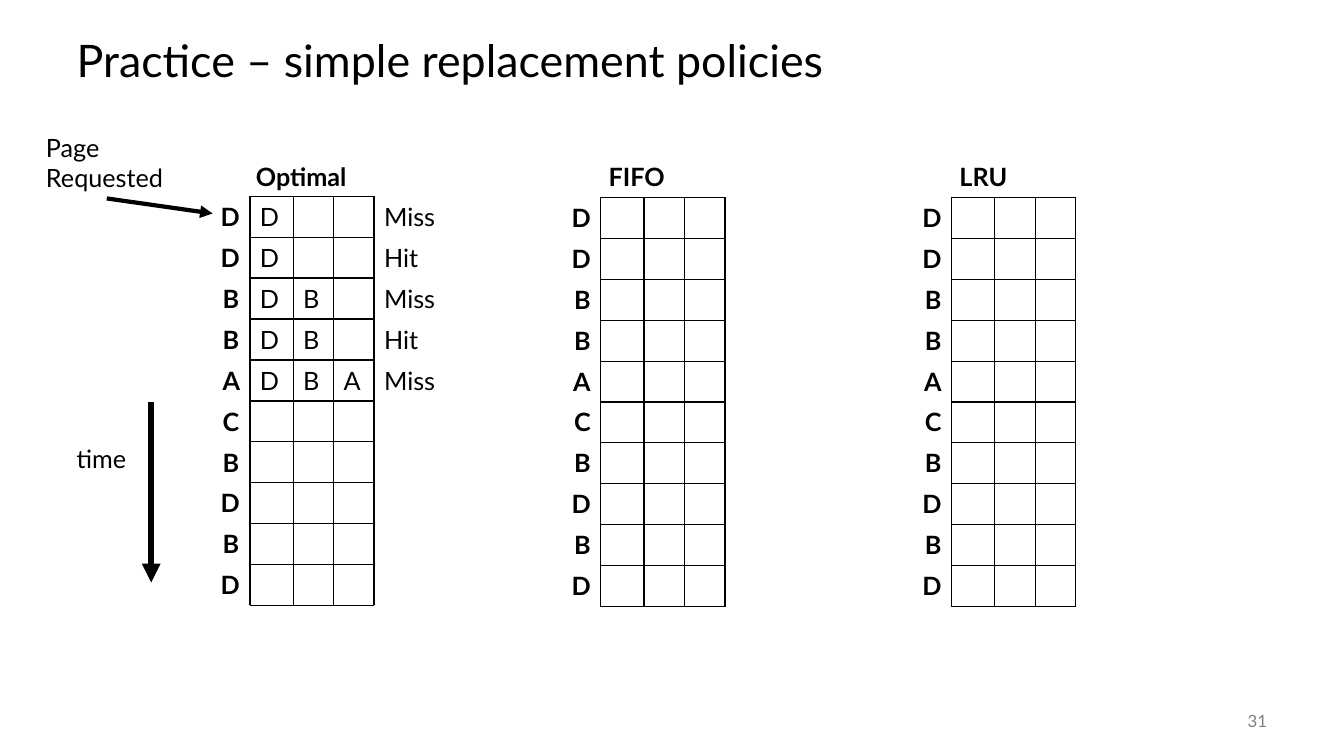
from itertools import accumulate

from lxml import etree
from pptx import Presentation
from pptx import util as u
from pptx.dml.color import RGBColor
from pptx.enum import shapes, text
from pptx.oxml import ns

COLORS = {"ink": "000000", "muted": "808080"}
REQUESTS = "DDBBACBDBD"
OPTIMAL = [("D", "Miss"), ("D", "Hit"), ("DB", "Miss"), ("DB", "Hit"), ("DBA", "Miss")]
FRAME_WIDTHS = [1.09, 1.02, 1.02]
ROW = 1.03


class PracticeSlide:
    """Holds the style and the current slide; all lengths are in centimetres."""

    font = "Lato"

    def __init__(self, slide):
        self.slide = slide

    def style(self, paragraph, size=18, bold=False, color="ink"):
        paragraph.font.name = self.font
        paragraph.font.size = u.Pt(size)
        paragraph.font.bold = bold
        paragraph.font.color.rgb = RGBColor.from_string(COLORS[color])

    def label(self, words, left, top, width, height=1.02, inset=True, middle=False,
              align=text.PP_ALIGN.LEFT, spacing=None, **style):
        box = self.slide.shapes.add_textbox(
            u.Cm(left), u.Cm(top), u.Cm(width), u.Cm(height))
        frame = box.text_frame
        frame.word_wrap = True
        frame.vertical_anchor = text.MSO_ANCHOR.MIDDLE if middle else text.MSO_ANCHOR.TOP
        if not inset:
            frame.margin_left = frame.margin_right = 0
            frame.margin_top = frame.margin_bottom = 0
        paragraph = frame.paragraphs[0]
        paragraph.text = words
        paragraph.alignment = align
        paragraph.line_spacing = spacing
        self.style(paragraph, **style)

    def line(self, x1, y1, x2, y2, weight=1, arrow=False):
        line = self.slide.shapes.add_connector(
            shapes.MSO_CONNECTOR.STRAIGHT, u.Cm(x1), u.Cm(y1), u.Cm(x2), u.Cm(y2))
        line.line.color.rgb = RGBColor.from_string(COLORS["ink"])
        line.line.width = u.Pt(weight)
        if arrow:
            etree.SubElement(line.line._get_or_add_ln(), ns.qn("a:tailEnd"), type="triangle")
        etree.SubElement(line._element.spPr, ns.qn("a:effectLst"))

    def borders(self, cell, visible):
        properties = cell._tc.get_or_add_tcPr()
        for position, side in enumerate("LRTB"):
            edge = etree.Element(ns.qn(f"a:ln{side}"), w=str(u.Pt(1)))
            if side in visible:
                fill = etree.SubElement(edge, ns.qn("a:solidFill"))
                etree.SubElement(fill, ns.qn("a:srgbClr"), val=COLORS["ink"])
            else:
                etree.SubElement(edge, ns.qn("a:noFill"))
            properties.insert(position, edge)

    def exercise_table(self, left, top):
        """Table of requests, empty page frames and an outcome column."""
        widths = [1.42, *FRAME_WIDTHS, 2.54]
        table = self.slide.shapes.add_table(
            len(REQUESTS), len(widths), u.Cm(left), u.Cm(top),
            u.Cm(sum(widths)), u.Cm(ROW * len(REQUESTS))).table
        table.first_row = table.horz_banding = False
        for column, width in zip(table.columns, widths):
            column.width = u.Cm(width)
        visible = ["R", "LRTB", "LRTB", "LRTB", "L"]
        for r, request in enumerate(REQUESTS):
            table.rows[r].height = u.Cm(ROW)
            for c, sides in enumerate(visible):
                cell = table.cell(r, c)
                cell.fill.background()
                self.borders(cell, sides)
                paragraph = cell.text_frame.paragraphs[0]
                if c == 0:
                    paragraph.text = request
                    paragraph.alignment = text.PP_ALIGN.RIGHT
                self.style(paragraph, bold=c == 0)

    def optimal_grid(self, left, top):
        """Ruled grid with the first requests worked out."""
        edges = list(accumulate([left, *FRAME_WIDTHS]))
        for x in edges:
            self.line(x, top, x, top + ROW * len(REQUESTS))
        for r in range(len(REQUESTS) + 1):
            self.line(left, top + ROW * r, edges[-1], top + ROW * r)

        def entry(words, x, r, width=0.79, bold=False):
            self.label(words, x, top + 0.13 + ROW * r, width, 0.89, inset=False, bold=bold)

        for r, request in enumerate(REQUESTS):
            entry(request, left - (0.74 if request == "D" else 0.69), r, bold=True)
        for r, (pages, outcome) in enumerate(OPTIMAL):
            for x, page in zip(edges, pages):
                entry(page, x + 0.25, r)
            entry(outcome, edges[-1] + 0.25, r, width=1.5)


def main():
    deck = Presentation()
    deck.slide_width, deck.slide_height = u.Cm(33.87), u.Cm(19.05)
    page = PracticeSlide(deck.slides.add_slide(deck.slide_layouts[6]))

    page.label("Practice – simple replacement policies", 1.68, 0.64, 30.48, 1.9,
               middle=True, spacing=0.9, size=32)
    page.label("31", 29.64, 17.65, 2.54, middle=True, align=text.PP_ALIGN.RIGHT,
               size=12, color="muted")

    for left in (13.72, 22.56):
        page.exercise_table(left, 4.98)
    for policy, left in (("Optimal", 6.2), ("FIFO", 15.09), ("LRU", 23.93)):
        page.label(policy, left, 3.94, 3.3, bold=True)

    page.line(3.81, 10.13, 3.81, 14.68, weight=4.5, arrow=True)
    page.label("time", 1.68, 11.05, 1.93)
    page.line(2.69, 5, 5.36, 5.38, weight=3, arrow=True)
    page.label("Page Requested", 0.91, 3.2, 3.56, 1.8)

    page.optimal_grid(6.3, 4.95)
    deck.save("out.pptx")


if __name__ == "__main__":
    main()
